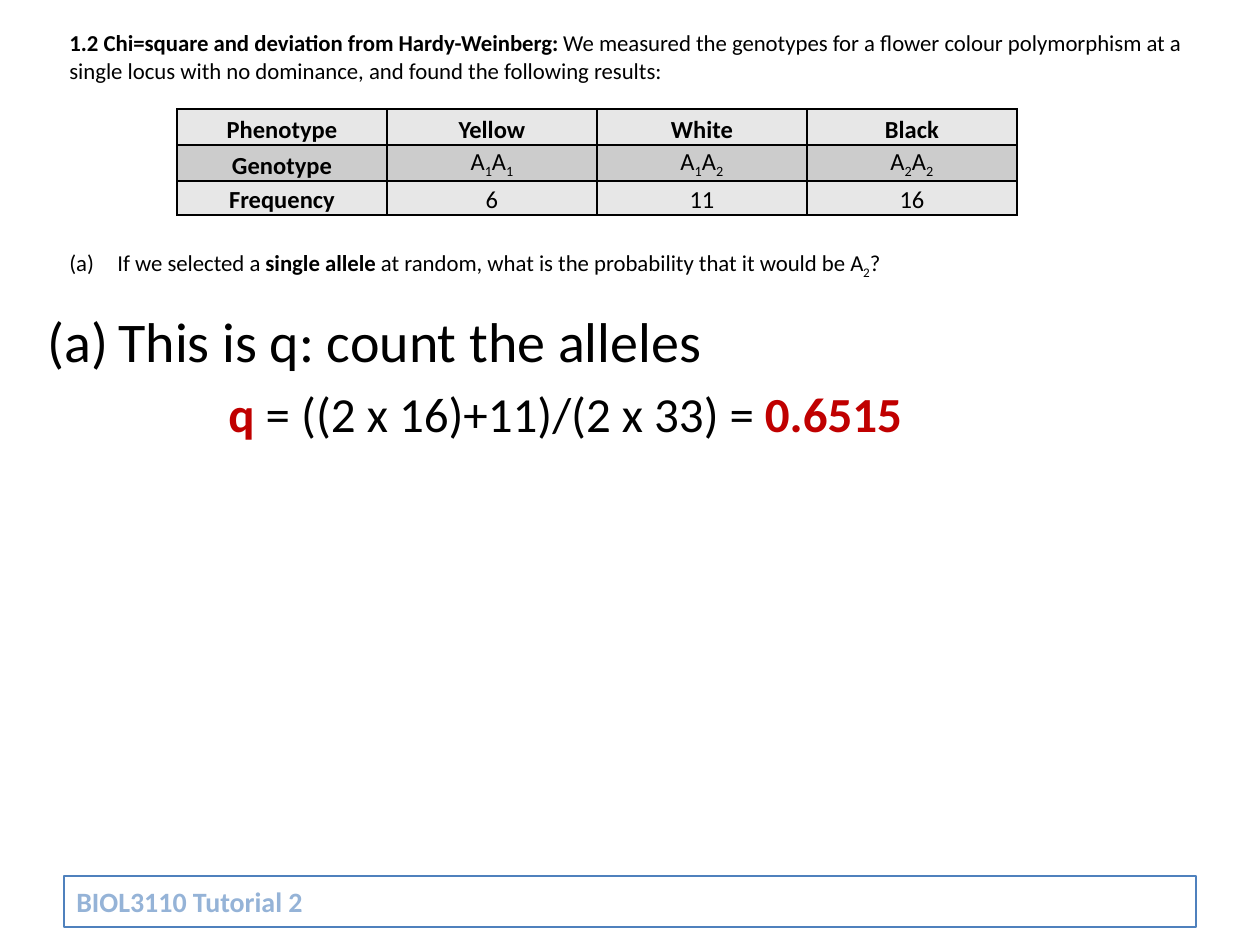
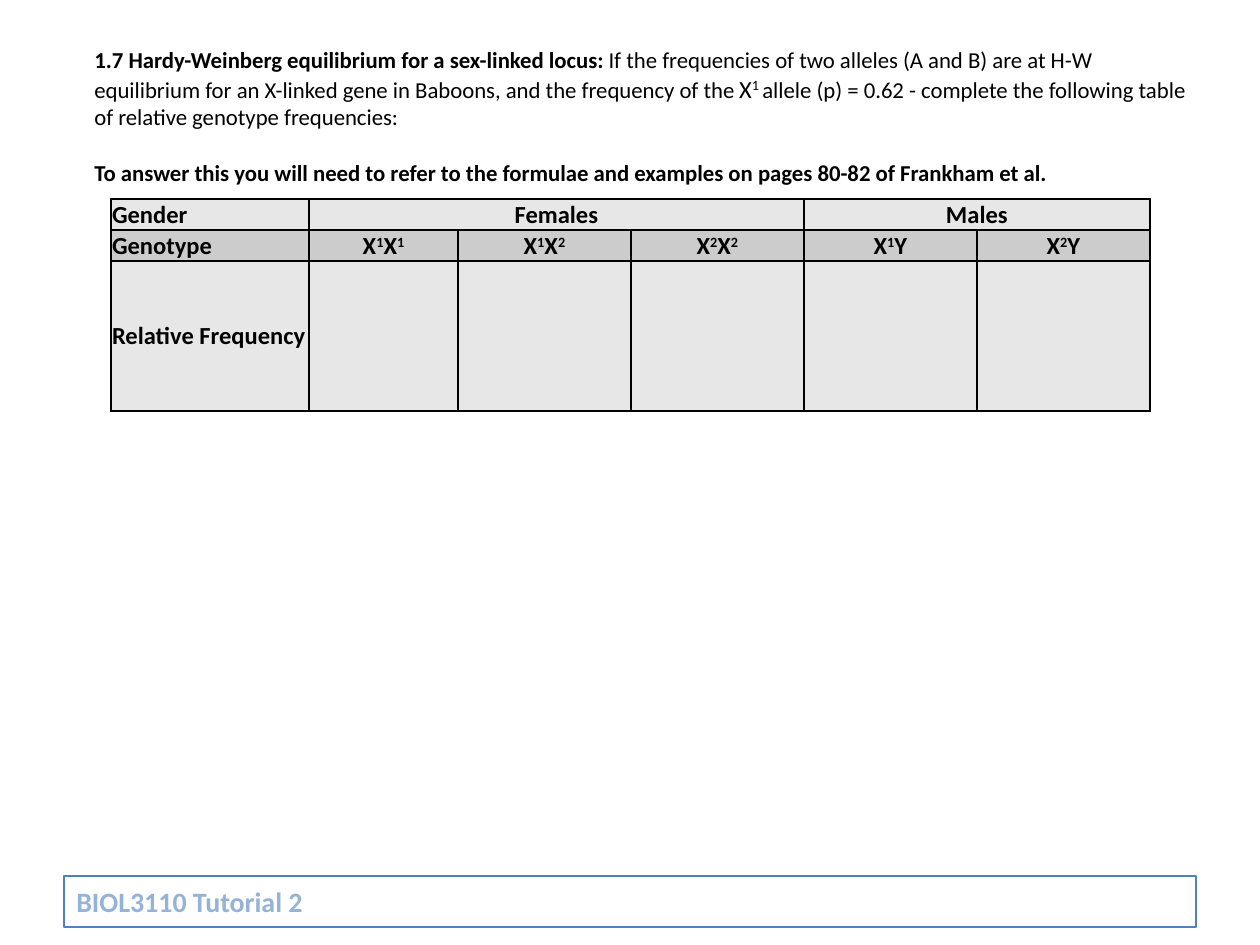
import itertools

import pptx
import pptx.dml.color
import pptx.enum.shapes
import pptx.enum.text
import pptx.oxml
import pptx.oxml.ns
import pptx.util

PX = 914400 / 126
COLORS = {
    "black": "000000",
    "white": "FFFFFF",
    "answer": "C00000",
    "light": "E7E7E7",
    "dark": "CCCCCC",
    "footer_line": "4F81BD",
    "footer_text": "95B3D7",
}
PLAIN = {}
BOLD = {"bold": True}
ANSWER = {"bold": True, "color": "answer"}
SUB, SUPER = -25000, 30000
CENTER = pptx.enum.text.PP_ALIGN.CENTER
LEFT = pptx.enum.text.PP_ALIGN.LEFT
MIDDLE = pptx.enum.text.MSO_ANCHOR.MIDDLE
BOTTOM = pptx.enum.text.MSO_ANCHOR.BOTTOM


def px(*lengths):
    return [pptx.util.Emu(round(length * PX)) for length in lengths]


def write(para, size, spans):
    for text, changes in spans:
        style = {"name": "Calibri", "size": size, "bold": False, "color": "black", "baseline": 0} | changes
        span = para.add_run()
        span.text = text
        span.font.color.rgb = pptx.dml.color.RGBColor.from_string(COLORS[style.pop("color")])
        baseline = style.pop("baseline")
        if baseline:
            span._r.get_or_add_rPr().set("baseline", str(baseline))
        style["size"] = pptx.util.Pt(style["size"])
        for key, value in style.items():
            setattr(span.font, key, value)


deck = pptx.Presentation()
deck.slide_width, deck.slide_height = px(1260, 945)

pages = [
    {
        "texts": [
            {"at": (57, 23, 1147, 70), "paras": [
                {"size": 13, "spans": [
                    ("1.2 Chi=square and deviation from Hardy-Weinberg:", BOLD),
                    (" We measured the genotypes for a flower colour polymorphism at a single locus "
                     "with no dominance, and found the following results:", PLAIN),
                ]},
            ]},
            {"at": (57, 243, 1147, 41), "paras": [
                {"size": 13, "margin": 48, "numbered": True, "spans": [
                    ("If we selected a ", PLAIN),
                    ("single allele", BOLD),
                    (" at random, what is the probability that it would be A", PLAIN),
                    ("2", {"baseline": SUB}),
                    ("?", PLAIN),
                ]},
            ]},
            {"at": (35, 300, 1191, 441), "paras": [
                {"size": 32, "margin": 71, "numbered": True, "spans": [
                    ("This is q: count the alleles", PLAIN),
                ]},
                {"size": 28, "margin": 181, "before": 5.6, "spans": [
                    ("q", ANSWER),
                    (" = ((2 x 16)+11)/(2 x 33) = ", PLAIN),
                    ("0.6515", ANSWER),
                ]},
            ]},
        ],
        "table": {
            "corner": (177, 109),
            "columns": [210] * 4,
            "rows": [36, 36, 34],
            "merges": [],
            "labels_align": CENTER,
            "genotype_anchor": MIDDLE,
            "bold_rows": [0],
            "baseline": SUB,
            "values": [
                ["Phenotype", "Yellow", "White", "Black"],
                ["Genotype", "A1A1", "A1A2", "A2A2"],
                ["Frequency", "6", "11", "16"],
            ],
        },
    },
    {
        "texts": [
            {"at": (82, 40, 1131, 155), "paras": [
                {"size": 13, "spans": [
                    ("1.7 Hardy-Weinberg equilibrium for a sex-linked locus:", BOLD),
                    (" If the frequencies of two alleles (A and B) are at H-W equilibrium for an "
                     "X-linked gene in Baboons, and the frequency of the ", PLAIN),
                    ("X", {"size": 14}),
                    ("1 ", {"size": 14, "baseline": SUPER}),
                    ("allele (p) = 0.62 - complete the following table of relative genotype "
                     "frequencies:", PLAIN),
                ]},
                {"size": 13, "before": 16, "spans": [
                    ("To answer this you will need to refer to the formulae and examples on pages "
                     "80-82 of Frankham et al.", BOLD),
                ]},
            ]},
        ],
        "table": {
            "corner": (111, 199),
            "columns": [198, 149] + [173] * 4,
            "rows": [31, 31, 150],
            "merges": [(1, 3), (4, 5)],
            "labels_align": LEFT,
            "genotype_anchor": BOTTOM,
            "bold_rows": [0, 1],
            "baseline": SUPER,
            "values": [
                ["Gender", "Females", "", "", "Males", ""],
                ["Genotype", "X1X1", "X1X2", "X2X2", "X1Y", "X2Y"],
                ["Relative Frequency", "", "", "", "", ""],
            ],
        },
    },
]

for content in pages:
    page = deck.slides.add_slide(deck.slide_layouts[6])

    footer = page.shapes.add_shape(pptx.enum.shapes.MSO_SHAPE.RECTANGLE, *px(64, 876, 1132, 51))
    footer.shadow.inherit = False
    footer.fill.solid()
    footer.fill.fore_color.rgb = pptx.dml.color.RGBColor.from_string(COLORS["white"])
    footer.line.color.rgb = pptx.dml.color.RGBColor.from_string(COLORS["footer_line"])
    footer.line.width = pptx.util.Pt(0.75)
    footer.text_frame.vertical_anchor = MIDDLE
    footer.text_frame.paragraphs[0].alignment = LEFT
    write(footer.text_frame.paragraphs[0], 16, [("BIOL3110 Tutorial 2", BOLD | {"color": "footer_text"})])

    for text in content["texts"]:
        box = page.shapes.add_textbox(*px(*text["at"]))
        box.text_frame.word_wrap = True
        for index, line in enumerate(text["paras"]):
            para = box.text_frame.add_paragraph() if index else box.text_frame.paragraphs[0]
            margin = px(line.get("margin", 0))[0]
            properties = para._p.get_or_add_pPr()
            properties.set("marL", str(margin))
            if line.get("numbered"):
                properties.set("indent", str(-margin))
                bullet = pptx.oxml.parse_xml(
                    f'<a:buAutoNum {pptx.oxml.ns.nsdecls("a")} type="alphaLcParenBoth"/>')
                properties.append(bullet)
            if "before" in line:
                para.space_before = pptx.util.Pt(line["before"])
            write(para, line["size"], line["spans"])

    plan = content["table"]
    size = (sum(plan["columns"]), sum(plan["rows"]))
    table = page.shapes.add_table(
        len(plan["rows"]), len(plan["columns"]), *px(*plan["corner"], *size)).table
    table.first_row = table.horz_banding = False
    for column, width in zip(table.columns, px(*plan["columns"])):
        column.width = width
    for row, height in zip(table.rows, px(*plan["rows"])):
        row.height = height
    for first, last in plan["merges"]:
        table.cell(0, first).merge(table.cell(0, last))

    for row, column in itertools.product(range(len(plan["rows"])), range(len(plan["columns"]))):
        cell = table.cell(row, column)
        value = plan["values"][row][column]
        is_label = column == 0
        anchor = BOTTOM
        if row == 1 and not is_label:
            anchor = plan["genotype_anchor"]
        if value == "Relative Frequency":
            anchor = MIDDLE
        margin, bottom = px(1, 0)
        formats = {
            "margin_left": margin,
            "margin_right": margin,
            "margin_top": margin,
            "margin_bottom": bottom,
            "vertical_anchor": anchor,
        }
        for key, setting in formats.items():
            setattr(cell, key, setting)
        cell.fill.solid()
        shade = "dark" if row == 1 else "light"
        cell.fill.fore_color.rgb = pptx.dml.color.RGBColor.from_string(COLORS[shade])
        for position, side in enumerate("LRTB"):
            border = pptx.oxml.parse_xml(
                f'<a:ln{side} {pptx.oxml.ns.nsdecls("a")} w="12700"><a:solidFill>'
                f'<a:srgbClr val="{COLORS["black"]}"/></a:solidFill></a:ln{side}>')
            cell._tc.get_or_add_tcPr().insert(position, border)
        para = cell.text_frame.paragraphs[0]
        para.alignment = plan["labels_align"] if is_label else CENTER
        weight = {"bold": is_label or row in plan["bold_rows"]}
        if row == 1 and not is_label:
            spans = [(sign, weight | {"baseline": plan["baseline"] if sign.isdigit() else 0})
                     for sign in value]
        else:
            spans = [(value, weight)] if value else []
        write(para, 14, spans)

deck.save("out.pptx")
